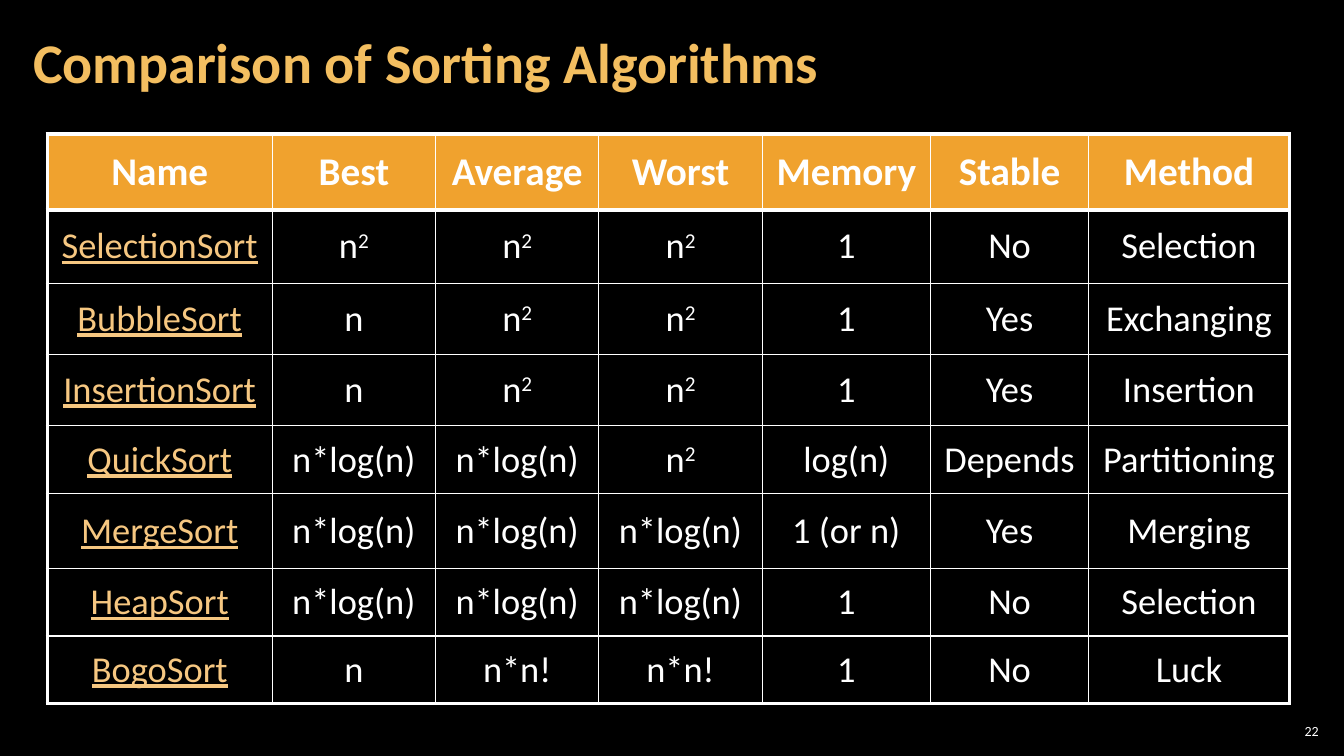
from lxml import etree
from pptx import Presentation
from pptx.dml.color import RGBColor
from pptx.enum.text import MSO_ANCHOR, MSO_AUTO_SIZE, PP_ALIGN
from pptx.oxml.ns import qn
from pptx.util import Inches, Pt

LEFT, CENTER, RIGHT = PP_ALIGN.LEFT, PP_ALIGN.CENTER, PP_ALIGN.RIGHT
MIDDLE = MSO_ANCHOR.MIDDLE
NO_AUTOFIT = MSO_AUTO_SIZE.NONE
BLACK = RGBColor(0x00, 0x00, 0x00)
WHITE = RGBColor(0xFF, 0xFF, 0xFF)
ORANGE = RGBColor(0xF0, 0xA2, 0x2E)
GOLD = RGBColor(0xF3, 0xBE, 0x60)
PALE_GOLD = RGBColor(0xF6, 0xC7, 0x81)

COLUMN_WIDTHS = [2.23, 1.62, 1.62, 1.62, 1.67, 1.57, 1.99]
ROW_HEIGHTS = [0.75, 0.73, 0.71, 0.7, 0.68, 0.74, 0.67, 0.67]
ALGORITHMS = [
    ["Name", "Best", "Average", "Worst", "Memory", "Stable", "Method"],
    ["SelectionSort", "n^2", "n^2", "n^2", "1", "No", "Selection"],
    ["BubbleSort", "n", "n^2", "n^2", "1", "Yes", "Exchanging"],
    ["InsertionSort", "n", "n^2", "n^2", "1", "Yes", "Insertion"],
    ["QuickSort", "n*log(n)", "n*log(n)", "n^2", "log(n)", "Depends", "Partitioning"],
    ["MergeSort", "n*log(n)", "n*log(n)", "n*log(n)", "1 (or n)", "Yes", "Merging"],
    ["HeapSort", "n*log(n)", "n*log(n)", "n*log(n)", "1", "No", "Selection"],
    ["BogoSort", "n", "n*n!", "n*n!", "1", "No", "Luck"],
]


class SlideBuilder:
    """Holds the style and the current slide, and adds each kind of element."""

    font_name = "Calibri"

    def __init__(self, deck):
        """Add a black page with a title."""
        self.page = deck.slides.add_slide(deck.slide_layouts[5])
        self.page.background.fill.solid()
        self.page.background.fill.fore_color.rgb = BLACK

    def style(self, para, size, color, align, bold=False):
        """Set the font and alignment of a paragraph."""
        para.alignment = align
        para.font.name = self.font_name
        para.font.size = Pt(size)
        para.font.bold = bold
        para.font.color.rgb = color

    def place(self, box, left, top, width, height, side_margin):
        """Position a text shape and set up its frame."""
        box.left, box.top = Inches(left), Inches(top)
        box.width, box.height = Inches(width), Inches(height)
        frame = box.text_frame
        frame.word_wrap = True
        frame.auto_size = NO_AUTOFIT
        frame.vertical_anchor = MIDDLE
        frame.margin_left = frame.margin_right = Inches(side_margin)
        frame.margin_top = frame.margin_bottom = Inches(0.04)
        return frame.paragraphs[0]

    def title(self, text):
        """Fill the title placeholder."""
        para = self.place(self.page.shapes.title, 0.21, 0.04, 10.47, 1.21, 0.12)
        para.text = text
        para.line_spacing = 0.9
        self.style(para, 40, GOLD, LEFT, bold=True)

    def page_number(self, text):
        """Add the number in the bottom right corner."""
        box = self.page.shapes.add_textbox(0, 0, 0, 0)
        para = self.place(box, 12.65, 7.14, 0.47, 0.22, 0.04)
        para.text = text
        self.style(para, 10, WHITE, RIGHT)

    def borders(self, cell, widths):
        """Draw white cell borders, given as side tag and points."""
        properties = cell._tc.get_or_add_tcPr()
        for index, (side, width) in enumerate(widths.items()):
            line = etree.Element(qn(f"a:{side}"), w=str(Pt(width)))
            solid = etree.SubElement(line, qn("a:solidFill"))
            etree.SubElement(solid, qn("a:srgbClr"), val=str(WHITE))
            properties.insert(index, line)

    def fill(self, cell, color, opacity=100):
        """Fill a cell with a colour at an opacity in percent."""
        cell.fill.solid()
        cell.fill.fore_color.rgb = color
        if opacity < 100:
            tint = cell._tc.tcPr.find(".//" + qn("a:srgbClr"))
            etree.SubElement(tint, qn("a:alpha"), val=str(opacity * 1000))

    def cell_text(self, cell, text, header, name):
        """Write a cell, raising what follows a caret."""
        cell.vertical_anchor = MIDDLE
        para = cell.text_frame.paragraphs[0]
        base, _, power = text.partition("^")
        para.add_run().text = base
        if power:
            span = para.add_run()
            span.text = power
            span._r.get_or_add_rPr().set("baseline", "30000")
        color = PALE_GOLD if name else WHITE
        self.style(para, 28 if header else 26, color, CENTER, bold=header)
        para.font.underline = name

    def table(self, rows, left, top, column_widths, row_heights):
        """Add the grid with thick outer and header rules."""
        last_row, last_column = len(rows) - 1, len(column_widths) - 1
        grid = self.page.shapes.add_table(
            len(rows), len(column_widths), Inches(left), Inches(top),
            Inches(sum(column_widths)), Inches(sum(row_heights))).table
        grid.horz_banding = False
        for column, width in zip(grid.columns, column_widths):
            column.width = Inches(width)
        for row, height in zip(grid.rows, row_heights):
            row.height = Inches(height)
        for r, texts in enumerate(rows):
            for c, text in enumerate(texts):
                cell = grid.cell(r, c)
                header = r == 0
                self.cell_text(cell, text, header, name=c == 0 and not header)
                self.fill(cell, ORANGE if header else BLACK, 100 if header else 30)
                self.borders(cell, {
                    "lnL": 3 if c == 0 else 1,
                    "lnR": 3 if c == last_column else 1,
                    "lnT": 3 if r <= 1 else 1,
                    "lnB": 3 if r in (0, last_row) else 1,
                })


def main():
    """Build and save the slide."""
    deck = Presentation()
    deck.slide_width, deck.slide_height = Inches(13.33), Inches(7.5)
    builder = SlideBuilder(deck)
    builder.page_number("22")
    builder.title("Comparison of Sorting Algorithms")
    builder.table(ALGORITHMS, 0.47, 1.33, COLUMN_WIDTHS, ROW_HEIGHTS)
    deck.save("out.pptx")


if __name__ == "__main__":
    main()
